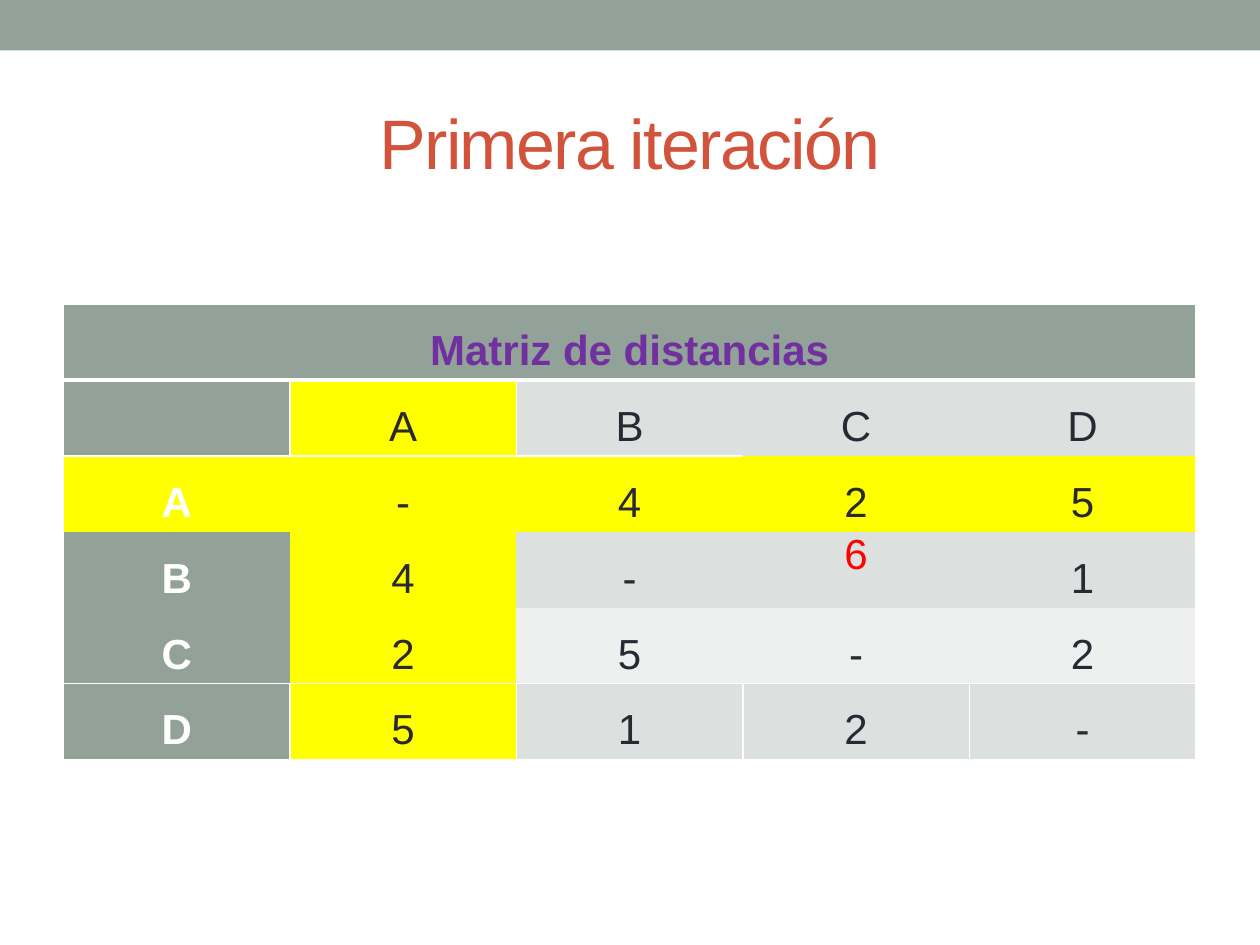
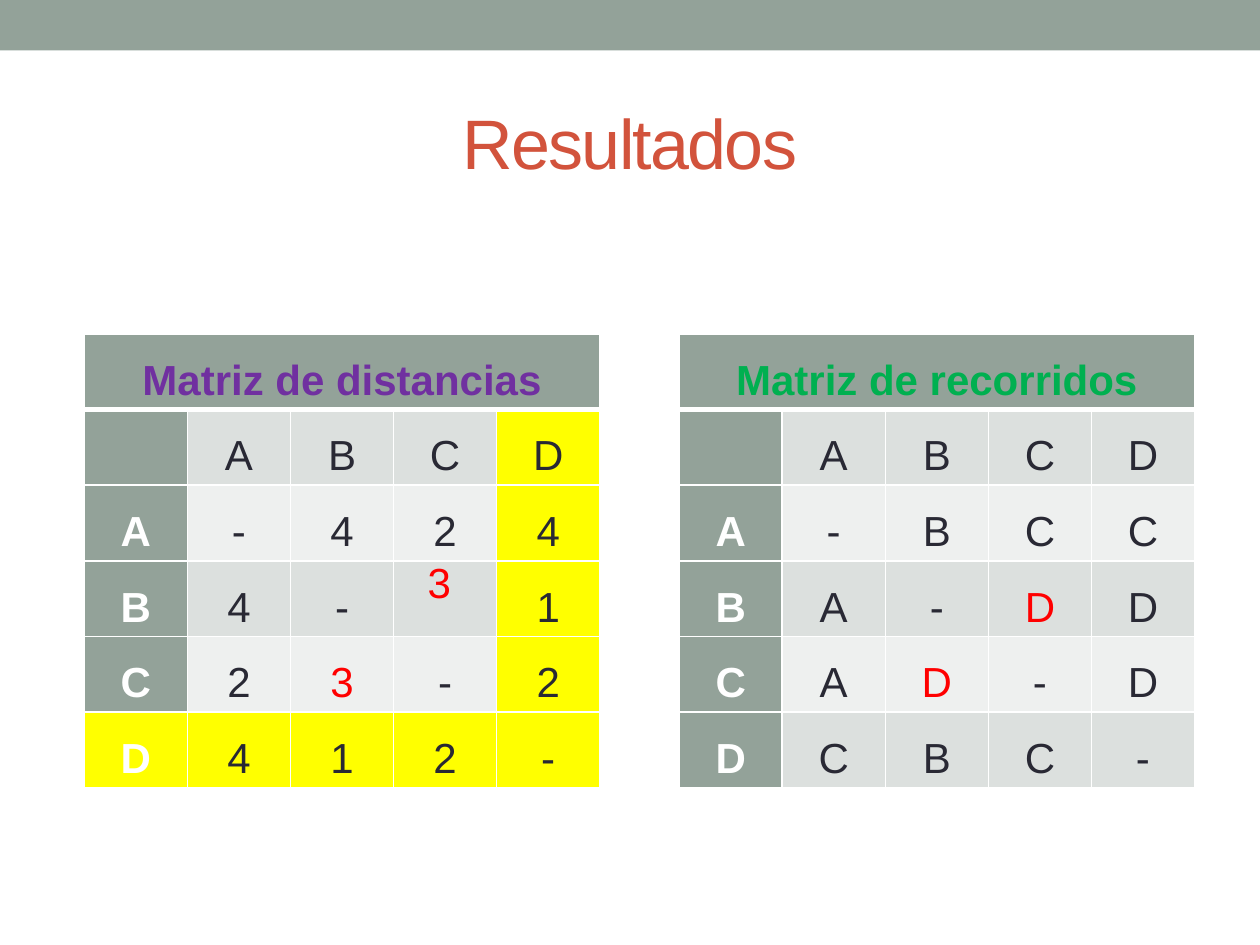
from lxml.etree import SubElement
from pptx import Presentation
from pptx.dml.color import RGBColor
from pptx.enum.shapes import MSO_SHAPE
from pptx.enum.text import MSO_ANCHOR, PP_ALIGN
from pptx.oxml.ns import qn
from pptx.util import Cm, Pt

# Colours
SAGE = RGBColor(0x93, 0xA2, 0x99)
BRICK = RGBColor(0xD2, 0x53, 0x3C)
INK = RGBColor(0x29, 0x29, 0x34)
WHITE = RGBColor(0xFF, 0xFF, 0xFF)
YELLOW = RGBColor(0xFF, 0xFF, 0x00)
RED = RGBColor(0xFF, 0x00, 0x00)
PURPLE = RGBColor(0x70, 0x30, 0xA0)
GREEN = RGBColor(0x00, 0xB0, 0x50)
BAND_DARK = RGBColor(0xDC, 0xE0, 0xDE)
BAND_LIGHT = RGBColor(0xEE, 0xF0, 0xEF)

# Shared format
FONT = "Arial"
SLIDE_W, SLIDE_H = 25.4, 19.05
NODES = "ABCD"
SIDES = {"l": "a:lnL", "r": "a:lnR", "t": "a:lnT", "b": "a:lnB"}
ALL = "lrtb"
CELL_FORMAT = {"margin_left": Cm(0.18), "margin_right": Cm(0.18),
               "margin_top": 0, "margin_bottom": 0,
               "vertical_anchor": MSO_ANCHOR.TOP}

# Sides with a white line in the first iteration, by row and column
OPEN_GRID = [
    [ALL] * 5,
    [ALL, ALL, "ltb", "t", "tr"],
    ["lt", "t", "t", "", "r"],
    ["l", "", "", "", "r"],
    ["lb", "b", "b", "b", "rb"],
    [ALL] * 5,
]
FULL_GRID = [[ALL] * 5] * 6


def set_format(obj, values):
    for name, value in values.items():
        setattr(obj, name, value)


def write(tf, text, size, color, bold=False, spacing=None):
    p = tf.paragraphs[0]
    set_format(p, {"alignment": PP_ALIGN.CENTER, "line_spacing": spacing})
    r = p.add_run()
    r.text = text
    set_format(r.font, {"name": FONT, "size": Pt(size), "bold": bold})
    r.font.color.rgb = color
    return r


def add_band(s):
    band = s.shapes.add_shape(MSO_SHAPE.RECTANGLE, 0, 0, Cm(SLIDE_W), Cm(1.02))
    band.shadow.inherit = False
    band.fill.solid()
    band.fill.fore_color.rgb = SAGE
    band.line.fill.background()


def add_title(s, text):
    box = s.shapes.add_textbox(Cm(1.27), Cm(1.48), Cm(22.86), Cm(2.74))
    tf = box.text_frame
    set_format(tf, {"word_wrap": True, "vertical_anchor": MSO_ANCHOR.MIDDLE})
    r = write(tf, text, 40, BRICK)
    r.font._element.set("spc", "-100")


def add_slide(prs, title):
    s = prs.slides.add_slide(prs.slide_layouts[6])
    add_band(s)
    add_title(s, title)
    return s


def set_borders(cell, row, sides):
    tc_pr = cell._tc.get_or_add_tcPr()
    for side, tag in SIDES.items():
        # The line below the heading is heavier
        heavy = (row, side) in ((0, "b"), (1, "t"))
        ln = SubElement(tc_pr, qn(tag), w=str(Pt(3 if heavy else 1)))
        if side in sides or heavy:
            fill = SubElement(ln, qn("a:solidFill"))
            SubElement(fill, qn("a:srgbClr"), val=str(WHITE))
        else:
            SubElement(ln, qn("a:noFill"))


def cell_fill(row, col, pivot):
    if row and pivot and (row - 2 == NODES.index(pivot)
                          or col - 1 == NODES.index(pivot)):
        return YELLOW
    if row == 0 or col == 0:
        return SAGE
    return BAND_DARK if row % 2 else BAND_LIGHT


def add_matrix(s, heading, color, values, place, pivot=None, changed=(),
               raised=None, grid=FULL_GRID):
    """Pairs such as "BC" name the cell in row B, column C."""
    left, top, width, row_h = place
    rows = [[heading] + [""] * 4, ["", *NODES]]
    rows += [[node, *line] for node, line in zip(NODES, values)]
    table = s.shapes.add_table(6, 5, Cm(left), Cm(top), Cm(width),
                               Cm(6 * row_h)).table
    table.cell(0, 0).merge(table.cell(0, 4))
    for i, line in enumerate(rows):
        for j, text in enumerate(line):
            cell = table.cell(i, j)
            set_format(cell, CELL_FORMAT)
            set_borders(cell, i, grid[i][j])
            cell.fill.solid()
            cell.fill.fore_color.rgb = cell_fill(i, j, pivot)
            if not text:
                continue
            pair = NODES[i - 2] + NODES[j - 1] if i > 1 and j else None
            if i == 0:
                ink = color
            elif j == 0:
                ink = WHITE
            else:
                ink = RED if pair in changed else INK
            write(cell.text_frame, text, 24, ink, bold=i == 0 or j == 0,
                  spacing=1.0 if pair and pair == raised else 1.5)


def main():
    prs = Presentation()
    set_format(prs, {"slide_width": Cm(SLIDE_W), "slide_height": Cm(SLIDE_H)})

    # First iteration: node A is the pivot
    s = add_slide(prs, "Primera iteración")
    add_matrix(s, "Matriz de distancias", PURPLE,
               ["-425", "4-61", "25-2", "512-"], (1.28, 6.13, 22.83, 1.53),
               pivot="A", changed=["BC"], raised="BC", grid=OPEN_GRID)

    # Results: routes on the right, distances on the left
    s = add_slide(prs, "Resultados")
    add_matrix(s, "Matriz de recorridos", GREEN,
               ["-BCC", "A-DD", "AD-D", "CBC-"], (13.69, 6.73, 10.39, 1.42),
               changed=["BC", "CB"])
    add_matrix(s, "Matriz de distancias", PURPLE,
               ["-424", ["4", "-", "3 ", "1"], "23-2", "412-"],
               (1.7, 6.73, 10.39, 1.42),
               pivot="D", changed=["BC", "CB"], raised="BC")

    prs.save("out.pptx")


main()
